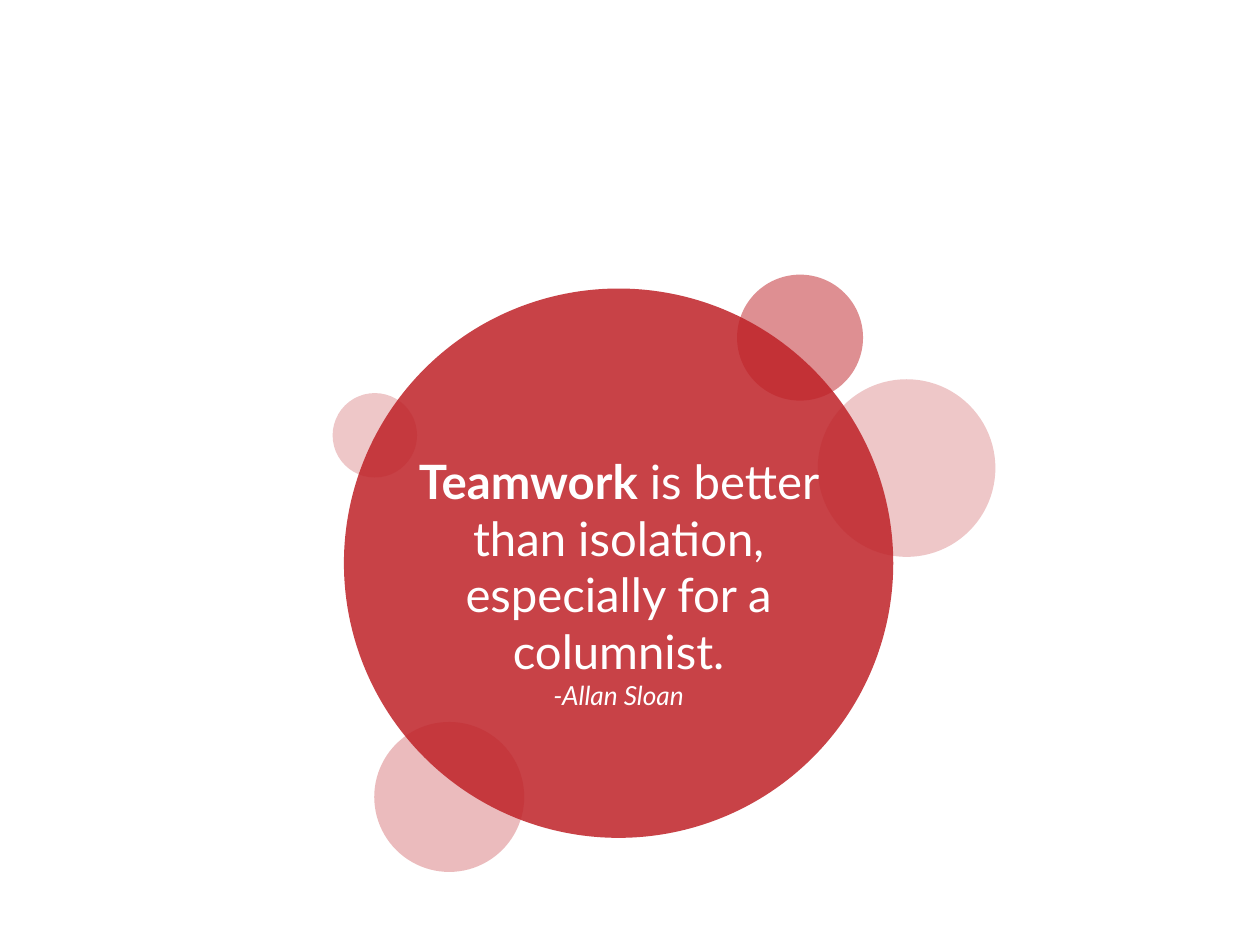
from lxml.etree import SubElement as Sub
from pptx import Presentation as Deck
from pptx.dml.color import RGBColor as Color
from pptx.enum.shapes import MSO_SHAPE as Form
from pptx.enum.text import MSO_ANCHOR as Anchor, PP_ALIGN as Align
from pptx.oxml.ns import qn
from pptx.util import Inches, Pt

HUES = {"red": "BF2127", "white": "FFFFFF"}
COLS, ROWS = 100, 75

# column, row and diameter in cells from the cluster's corner, then opacity %
DOTS = [
    (32.1, 0, 10, 50),
    (0.9, 1.1, 43.6, 85),
    (3.3, 35.5, 11.9, 30),
    (38.5, 8.3, 14.1, 25),
    (0, 9.4, 6.7, 25),
]

BASE = {"name": "Lato", "size": Pt(27), "bold": False, "italic": False}
QUOTE = [
    [("Teamwork", {"bold": True}),
     (" is better than isolation, especially for a columnist.", {})],
    [("-Allan Sloan", {"size": Pt(15), "italic": True})],
]


def add_dot(slide, left, top, size, alpha):
    dot = slide.shapes.add_shape(Form.OVAL, left, top, size, size)
    dot.shadow.inherit = False
    dot.line.fill.background()
    dot.fill.solid()
    dot.fill.fore_color.rgb = Color.from_string(HUES["red"])
    tint = dot.fill._xPr.find(".//" + qn("a:srgbClr"))
    Sub(tint, qn("a:alpha")).set("val", str(alpha * 1000))


def add_dots(slide, box, cell):
    left, top = box[:2]
    for col, row, size, alpha in DOTS:
        add_dot(slide, left + int(col * cell), top + int(row * cell),
                int(size * cell), alpha)


def add_quote(slide, box):
    frame = slide.shapes.add_textbox(*box).text_frame
    frame.word_wrap = True
    frame.vertical_anchor = Anchor.TOP
    for num, parts in enumerate(QUOTE):
        para = frame.add_paragraph() if num else frame.paragraphs[0]
        para.alignment = Align.CENTER
        for words, style in parts:
            run = para.add_run()
            run.text = words
            for key, val in {**BASE, **style}.items():
                setattr(run.font, key, val)
            run.font.color.rgb = Color.from_string(HUES["white"])


def main():
    deck = Deck()
    deck.slide_width, deck.slide_height = Inches(10), Inches(7.5)
    slide = deck.slides.add_slide(deck.slide_layouts[6])
    cell = deck.slide_width // COLS

    def grid(*spans):
        return [int(span * cell) for span in spans]

    slide.background.fill.solid()
    slide.background.fill.fore_color.rgb = Color.from_string(HUES["white"])
    add_dots(slide, grid(26.4, 21.8, 52.6, 47.4), cell)
    add_quote(slide, grid(30.3, 35.4, 37.6, 21.7))
    deck.save("out.pptx")


if __name__ == "__main__":
    main()
